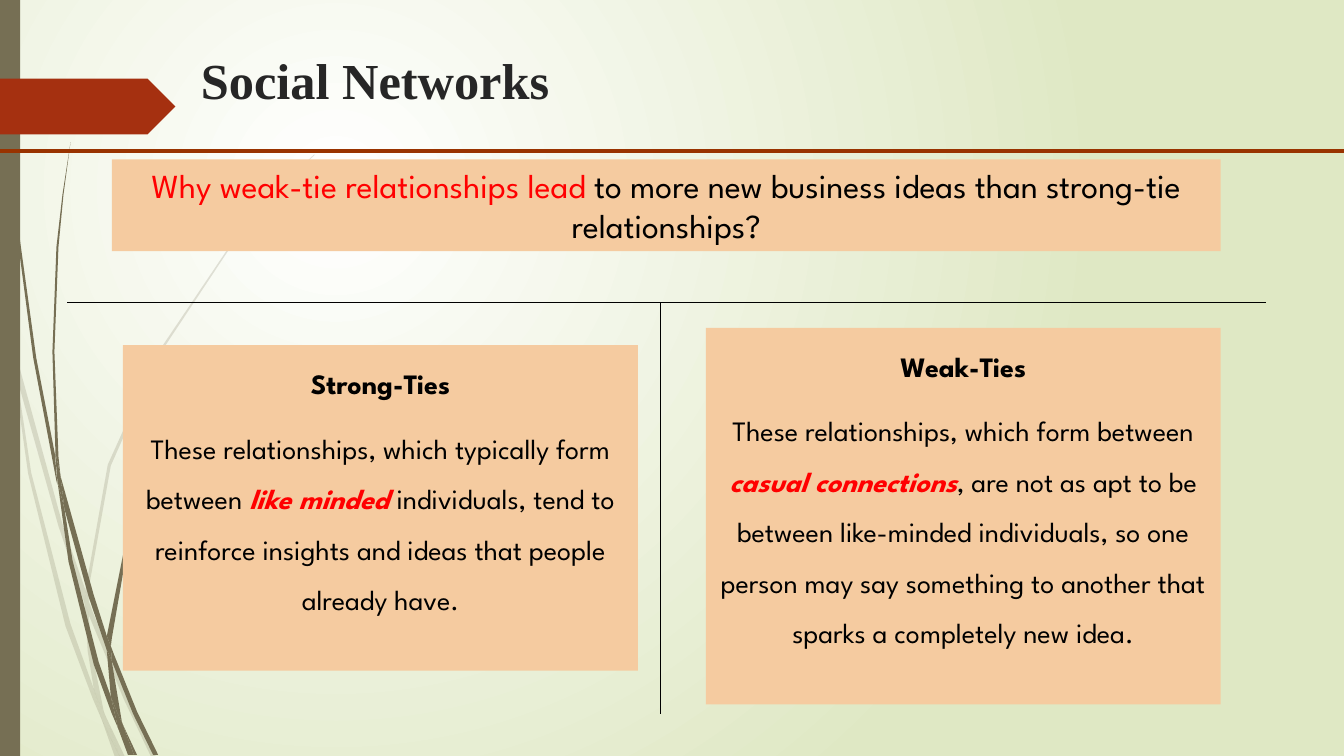
"""Builds the slide on strong and weak ties in social networks."""
from dataclasses import dataclass

from lxml.etree import SubElement
from pptx import Presentation
from pptx.dml.color import RGBColor as Rgb
from pptx.enum.shapes import MSO_CONNECTOR as Connector, MSO_SHAPE as Preset
from pptx.enum.text import MSO_ANCHOR as Anchor, PP_ALIGN as Align
from pptx.oxml.ns import qn
from pptx.util import Cm, Pt

TITLE = "Social Networks"
QUESTION = [[("Why weak-tie relationships lead ", "key"),
             ("to more new business ideas than strong-tie relationships?", "plain")]]
STRONG = [
    [("Strong-Ties", "heading")],
    [("These relationships, which typically form between ", "plain"),
     ("like minded ", "stress"),
     ("individuals, tend to reinforce insights and ideas that people already have.", "plain")],
]
WEAK = [
    [("Weak-Ties", "heading")],
    [("These relationships, which form between ", "plain"),
     ("casual connections", "stress"),
     (", are not as apt to be between like-minded individuals, so one person may say "
      "something to another that sparks a completely new idea.", "plain")],
]


@dataclass(frozen=True)
class Theme:
    """Colours, fonts and type sizes of the slide."""
    olive: str = "766F54"
    rust: str = "A53010"
    rule: str = "993300"
    peach: str = "F5CBA0"
    red: str = "FF0000"
    black: str = "000000"
    title_ink: str = "262626"
    glow: tuple = ("FFFFFF", "DFE8C4")
    title_font: str = "Times New Roman"
    body_font: str = "League Spartan"
    title_size: int = 36
    question_size: int = 24
    body_size: int = 20


THEME = Theme()
STYLES = {
    "plain": dict(color=THEME.black),
    "key": dict(color=THEME.red),
    "heading": dict(color=THEME.black, bold=True),
    "stress": dict(color=THEME.red, bold=True, italic=True),
}
TIES_LAYOUT = dict(size=THEME.body_size, spacing=1.5, gap=10)
BOXES = [
    (STRONG, (3.1, 8.7, 12.98, 8.2), TIES_LAYOUT),
    (WEAK, (17.79, 8.26, 12.97, 9.49), TIES_LAYOUT),
    (QUESTION, (2.82, 4.02, 27.94, 2.31), dict(size=THEME.question_size)),
]
LINES = [
    ((0, 3.81), (33.87, 3.81), THEME.rule, 3),
    ((1.7, 7.62), (31.9, 7.62), THEME.black, 0.75),
    ((16.65, 7.62), (16.65, 17.98), THEME.black, 0.75),
]

GRASS_UNIT = Cm(0.0254)
PALE_GRASS = [
    [(11, 350), (9, 322), (0, 282), (0, 299), (10, 344)],
    [(58, 522), (84, 599), (85, 586), (62, 520), (14, 345), (17, 376)],
    [(92, 607), (88, 596), (88, 610), (123, 694), (150, 751), (155, 751), (127, 692)],
    [(119, 751), (124, 751), (105, 711)],
    [(93, 683), (70, 619), (31, 469), (17, 376), (11, 350), (28, 470), (65, 621),
     (92, 693), (101, 714), (99, 707)],
    [(84, 599), (87, 646), (93, 683), (96, 692), (105, 711), (103, 706), (91, 646),
     (88, 610), (88, 608)],
    [(88, 584), (110, 462), (160, 349), (229, 245), (268, 198), (290, 175), (312, 154),
     (312, 153), (289, 175), (268, 197), (228, 244), (158, 348), (107, 461), (85, 584),
     (85, 586), (88, 596)],
    [(101, 714), (114, 751), (119, 751)],
    [(88, 608), (88, 610), (88, 596), (85, 586), (84, 599)],
    [(96, 692), (93, 683), (99, 707), (101, 714), (119, 751), (105, 711)],
]
DARK_GRASS = [
    [(7, 110), (17, 233), (33, 355), (56, 477), (57, 481), (55, 457), (55, 453),
     (36, 355), (19, 232), (8, 109), (5, 48), (4, 0), (3, 0), (4, 48)],
    [(88, 592), (106, 645), (106, 633), (106, 631), (93, 590), (60, 472), (64, 505)],
    [(113, 649), (110, 641), (111, 656), (132, 708), (152, 749), (157, 749), (136, 706)],
    [(110, 691), (98, 657), (72, 556), (64, 505), (57, 477), (68, 557), (93, 659),
     (111, 708), (117, 722), (116, 717)],
    [(60, 472), (58, 453), (54, 349), (58, 245), (63, 193), (70, 141), (62, 193),
     (56, 245), (52, 349), (55, 449)],
    [(133, 749), (136, 749), (122, 719)],
    [(57, 477), (64, 505), (60, 472), (55, 449), (55, 453)],
    [(111, 633), (125, 552), (158, 476), (205, 406), (231, 374), (245, 359), (261, 344),
     (260, 344), (245, 358), (231, 373), (204, 405), (156, 474), (122, 551), (106, 631),
     (110, 641)],
    [(117, 722), (127, 749), (131, 749)],
    [(106, 645), (110, 691), (116, 706), (122, 719), (121, 716), (111, 656), (109, 651)],
    [(106, 645), (109, 651), (111, 656), (110, 641), (106, 631), (106, 633)],
    [(116, 706), (110, 691), (116, 717), (117, 722), (130, 749), (133, 749), (122, 719)],
]


def paint(shape, color, opacity=None):
    """Fill a shape flat, without line or shadow."""
    shape.shadow.inherit = False
    shape.fill.solid()
    shape.fill.fore_color.rgb = Rgb.from_string(color)
    shape.line.fill.background()
    if opacity:
        tint = next(shape._element.spPr.iter(qn("a:srgbClr")))
        SubElement(tint, qn("a:alpha"), val=str(opacity * 1000))


def add_grass(page, outline, opacity=None):
    """Draw one piece of a grass blade."""
    blade = page.shapes.build_freeform(*outline[0], scale=GRASS_UNIT)
    blade.add_line_segments(outline[1:], close=True)
    paint(blade.convert_to_shape(), THEME.olive, opacity)


def add_preset(page, preset, place, color):
    """Add a flat preset shape at a place in centimetres."""
    shape = page.shapes.add_shape(preset, *map(Cm, place))
    paint(shape, color)
    return shape


def add_line(page, start, end, color, width):
    """Add a straight line without shadow."""
    line = page.shapes.add_connector(Connector.STRAIGHT, *map(Cm, start + end))
    line.line.color.rgb = Rgb.from_string(color)
    line.line.width = Pt(width)
    SubElement(line._element.spPr, qn("a:effectLst"))


def add_span(para, text, font, size, color, bold=False, italic=False):
    """Add formatted text to a paragraph."""
    span = para.add_run()
    span.text = text
    span.font.name, span.font.size = font, Pt(size)
    span.font.bold, span.font.italic = bold, italic
    span.font.color.rgb = Rgb.from_string(color)


def write(box, paragraphs, size, spacing=1.0, gap=0):
    """Write centred paragraphs of styled spans from the top of a box."""
    frame = box.text_frame
    frame.word_wrap = True
    frame.vertical_anchor = Anchor.TOP
    for index, spans in enumerate(paragraphs):
        para = frame.add_paragraph() if index else frame.paragraphs[0]
        para.alignment = Align.CENTER
        para.line_spacing = spacing
        para.space_before = Pt(gap if index else 0)
        for text, style in spans:
            add_span(para, text, THEME.body_font, size, **STYLES[style])


def set_background(page):
    """Give the page a round glow centred on its upper left quarter."""
    fill = page.background.fill
    fill.gradient()
    for stop, color in zip(fill.gradient_stops, THEME.glow):
        stop.color.rgb = Rgb.from_string(color)
    gradient = next(page._element.iter(qn("a:gradFill")))
    gradient.remove(gradient.find(qn("a:lin")))
    circle = SubElement(gradient, qn("a:path"), path="circle")
    SubElement(circle, qn("a:fillToRect"), l="50000", t="50000", r="100000", b="100000")


def set_title(page):
    """Place and format the title."""
    title = page.shapes.title
    title.left, title.top, title.width, title.height = map(Cm, (4.81, 0.41, 27.36, 3.18))
    title.text_frame.vertical_anchor = Anchor.MIDDLE
    para = title.text_frame.paragraphs[0]
    para.alignment = Align.LEFT
    add_span(para, TITLE, THEME.title_font, THEME.title_size, THEME.title_ink, bold=True)


def main():
    """Build and save the deck."""
    deck = Presentation()
    deck.slide_width, deck.slide_height = Cm(33.87), Cm(19.05)
    page = deck.slides.add_slide(deck.slide_layouts[5])
    set_background(page)
    for outline in PALE_GRASS:
        add_grass(page, outline, opacity=20)
    for outline in DARK_GRASS:
        add_grass(page, outline)
    add_preset(page, Preset.RECTANGLE, (0, 0, 0.51, 19.05), THEME.olive)
    add_preset(page, Preset.PENTAGON, (0, 1.98, 4.42, 1.41), THEME.rust)
    set_title(page)
    for line in LINES:
        add_line(page, *line)
    for paragraphs, place, layout in BOXES:
        write(add_preset(page, Preset.RECTANGLE, place, THEME.peach), paragraphs, **layout)
    deck.save("out.pptx")


if __name__ == "__main__":
    main()
